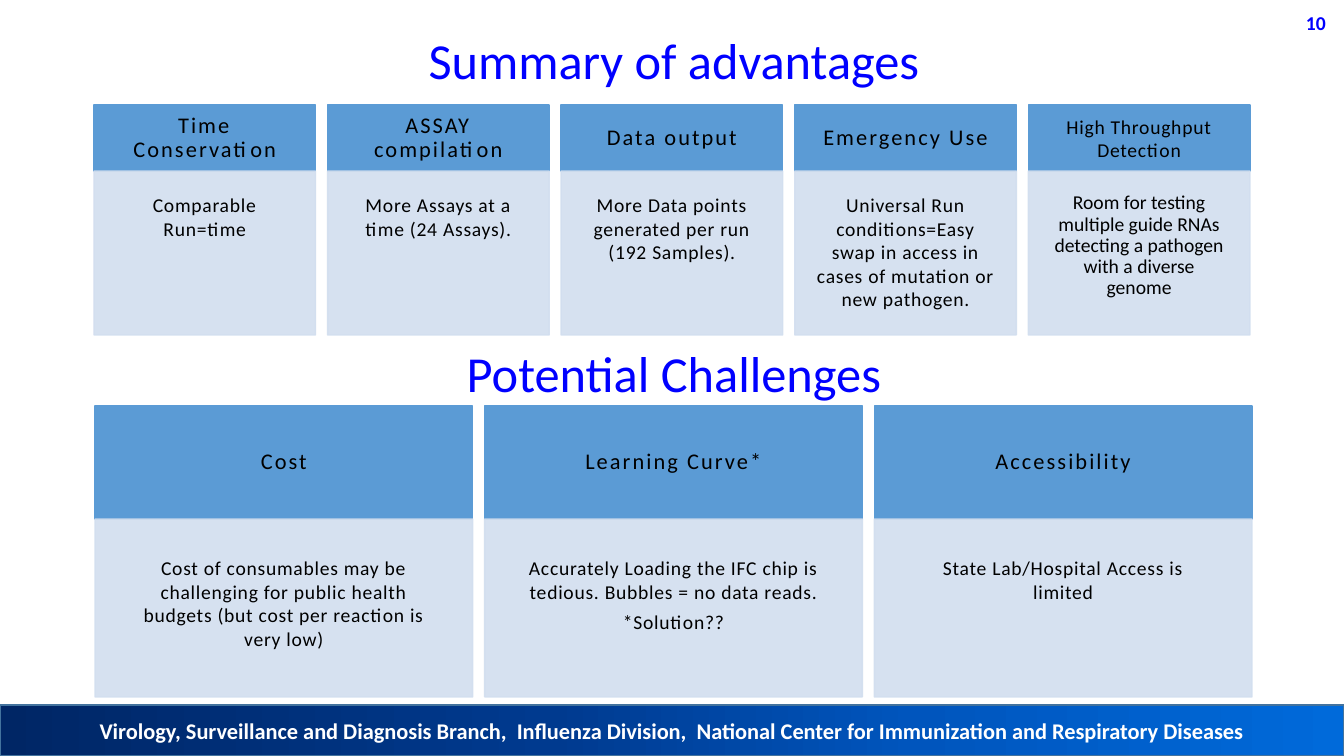
from lxml import etree
from pptx import Presentation
from pptx.dml.color import RGBColor
from pptx.enum.shapes import MSO_SHAPE
from pptx.enum.text import MSO_ANCHOR, MSO_AUTO_SIZE, PP_ALIGN
from pptx.oxml.ns import qn
from pptx.util import Emu, Pt

EMU_PER_INCH, PX_PER_INCH = 914400, 100.8
SLIDE = (1344, 756)
FONT = "Calibri"
BLUE, BLACK, WHITE = "0000FF", "000000", "FFFFFF"
HEADER_FILL, BODY_FILL, FOOTER_LINE = "5B9BD5", "D2DEEF", "43739E"
FOOTER_STOPS = [(0, "002665"), (41, "003A8F"), (68, "0055BD"), (100, "006ADA")]

# Text styles: size, letter spacing (pt), line spacing
HEADER = {"size": 16, "tracking": 1.5, "line": 0.9, "after": 5}
BODY = {"size": 14, "tracking": 0.5, "after": 5}
TIGHT_BODY = {"size": 14, "line": 0.9, "after": 5}
TITLE = {"size": 36, "color": BLUE, "line": 0.9}

PAGE_NUMBER = "10"
FOOTER = ("Virology, Surveillance and Diagnosis Branch,  Influenza Division,  "
          "National Center for Immunization and Respiratory Diseases")
ADVANTAGES_TITLE = "Summary of advantages"
CHALLENGES_TITLE = "Potential Challenges"

# Each card: heading, body paragraphs, heading style, body style
ADVANTAGES = [
    ("Time Conservation", ["Comparable Run=time"], HEADER, BODY),
    ("ASSAY compilation", ["More Assays at a time (24 Assays)."], HEADER, BODY),
    ("Data output", ["More Data points generated per run (192 Samples)."], HEADER, BODY),
    ("Emergency Use",
     ["Universal Run conditions=Easy swap in access in cases of mutation or new pathogen."],
     HEADER, BODY),
    ("High Throughput Detection",
     ["Room for testing multiple guide RNAs detecting a pathogen with a diverse genome"],
     BODY, TIGHT_BODY),
]
CHALLENGES = [
    ("Cost",
     ["Cost of consumables may be challenging for public health budgets "
      "(but cost per reaction is very low)"], HEADER, BODY),
    ("Learning Curve*",
     ["Accurately Loading the IFC chip is tedious. Bubbles = no data reads.",
      "*Solution??"], HEADER, BODY),
    ("Accessibility", ["State Lab/Hospital Access is limited"], HEADER, BODY),
]
CARD_GAP = 12
ROWS = [
    {"cards": ADVANTAGES, "left": 94, "right": 1250, "top": 105,
     "header_height": 66, "body_height": 164, "header_inset": 17, "body_inset": 22},
    {"cards": CHALLENGES, "left": 95, "right": 1252, "top": 406,
     "header_height": 113, "body_height": 178, "header_inset": 30, "body_inset": 37},
]


def px(length):
    return Emu(round(length * EMU_PER_INCH / PX_PER_INCH))


def rgb(color):
    return RGBColor.from_string(color)


def place(shape, left, top, width, height):
    shape.left, shape.top, shape.width, shape.height = map(px, (left, top, width, height))


def write(shape, paragraphs, size, color=BLACK, bold=False, tracking=0, line=None,
          after=0, anchor=MSO_ANCHOR.TOP, inset=None):
    """Fill a shape with centred paragraphs; inset is in px on all four sides."""
    frame = shape.text_frame
    frame.word_wrap = True
    frame.auto_size = MSO_AUTO_SIZE.NONE
    frame.vertical_anchor = anchor
    if inset is not None:
        frame.margin_left = frame.margin_right = px(inset)
        frame.margin_top = frame.margin_bottom = px(inset)
    for index, text in enumerate(paragraphs):
        paragraph = frame.add_paragraph() if index else frame.paragraphs[0]
        paragraph.alignment = PP_ALIGN.CENTER
        paragraph.space_before = Pt(0)
        paragraph.space_after = Pt(after)
        paragraph.line_spacing = line
        run = paragraph.add_run()
        run.text = text
        run.font.name, run.font.size, run.font.bold = FONT, Pt(size), bold
        run.font.color.rgb = rgb(color)
        if tracking:
            run.font._element.set("spc", str(round(tracking * 100)))


def add_box(slide, box, fill, line):
    shape = slide.shapes.add_shape(MSO_SHAPE.RECTANGLE, *map(px, box))
    shape.shadow.inherit = False
    shape.fill.solid()
    shape.fill.fore_color.rgb = rgb(fill)
    shape.line.color.rgb = rgb(line)
    shape.line.width = Pt(1)
    return shape


def set_opacity(shape, percent):
    """Apply one opacity to both the fill and the line."""
    for color in shape._element.spPr.iter(qn("a:srgbClr")):
        etree.SubElement(color, qn("a:alpha"), val=str(percent * 1000))


def set_gradient(shape, stops):
    """Fill from left to right through (percent, colour) stops."""
    shape.fill.gradient()
    shape.fill.gradient_angle = 0
    stop_list = shape._element.spPr.find(".//" + qn("a:gsLst"))
    for old_stop in list(stop_list):
        stop_list.remove(old_stop)
    for percent, color in stops:
        stop = etree.SubElement(stop_list, qn("a:gs"), pos=str(percent * 1000))
        etree.SubElement(stop, qn("a:srgbClr"), val=color)


def add_row(slide, row):
    cards, top, header_height = row["cards"], row["top"], row["header_height"]
    width = (row["right"] - row["left"] - CARD_GAP * (len(cards) - 1)) / len(cards)
    for index, (heading, details, heading_style, details_style) in enumerate(cards):
        left = row["left"] + index * (width + CARD_GAP)
        header = add_box(slide, (left, top, width, header_height), HEADER_FILL, HEADER_FILL)
        write(header, [heading], anchor=MSO_ANCHOR.MIDDLE,
              inset=row["header_inset"], **heading_style)
        body = add_box(slide, (left, top + header_height, width, row["body_height"]),
                       BODY_FILL, BODY_FILL)
        set_opacity(body, 90)
        write(body, details, inset=row["body_inset"], **details_style)


def main():
    presentation = Presentation()
    presentation.slide_width, presentation.slide_height = map(px, SLIDE)
    slide = presentation.slides.add_slide(presentation.slide_layouts[5])

    place(slide.shapes.title, 63, 31, 1222, 100)
    write(slide.shapes.title, [ADVANTAGES_TITLE], **TITLE)

    page_number = slide.shapes.add_textbox(*map(px, (1292, 3, 48, 40)))
    write(page_number, [PAGE_NUMBER], 14, BLUE, bold=True, anchor=MSO_ANCHOR.MIDDLE)

    footer = add_box(slide, (0, 705, 1344, 51), FOOTER_STOPS[0][1], FOOTER_LINE)
    set_gradient(footer, FOOTER_STOPS)
    write(footer, [FOOTER], 16, WHITE, bold=True, anchor=MSO_ANCHOR.MIDDLE)

    for row in ROWS:
        add_row(slide, row)

    challenges_title = slide.shapes.add_textbox(*map(px, (63, 344, 1222, 100)))
    write(challenges_title, [CHALLENGES_TITLE], **TITLE)

    presentation.save("out.pptx")


if __name__ == "__main__":
    main()
